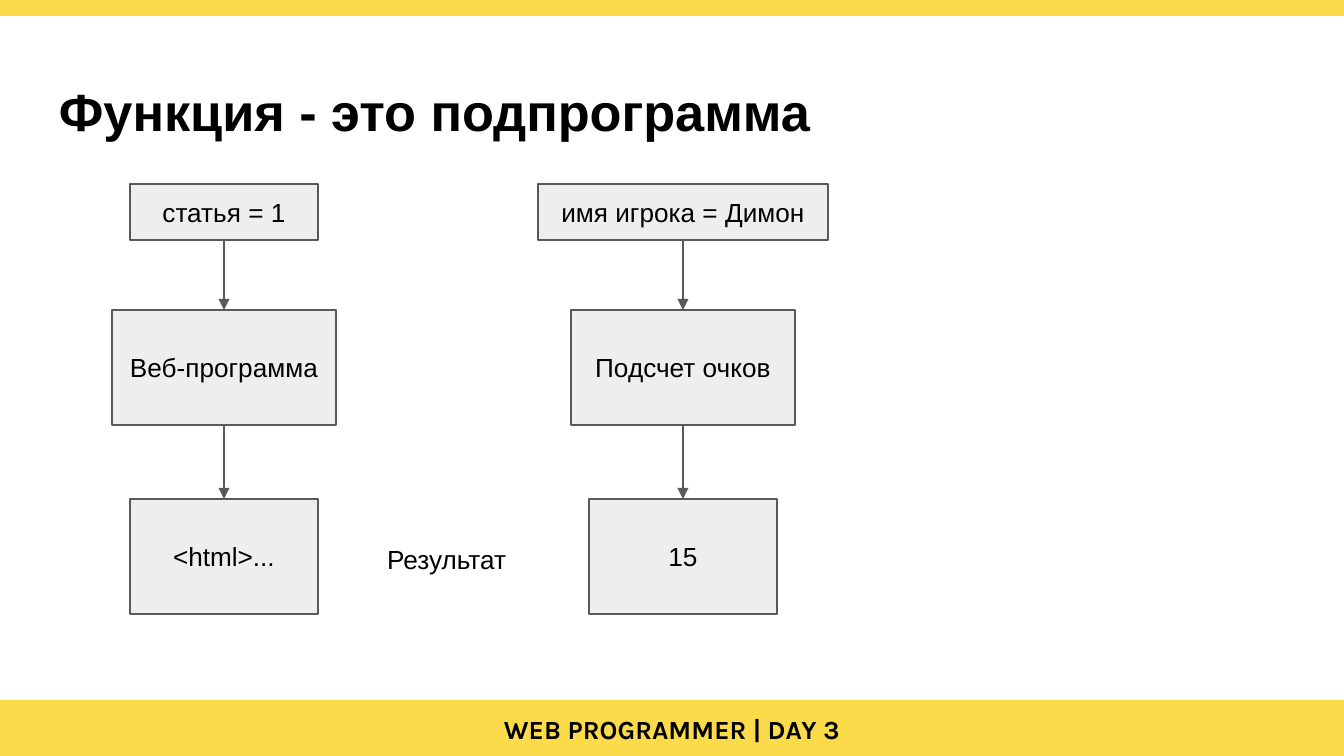
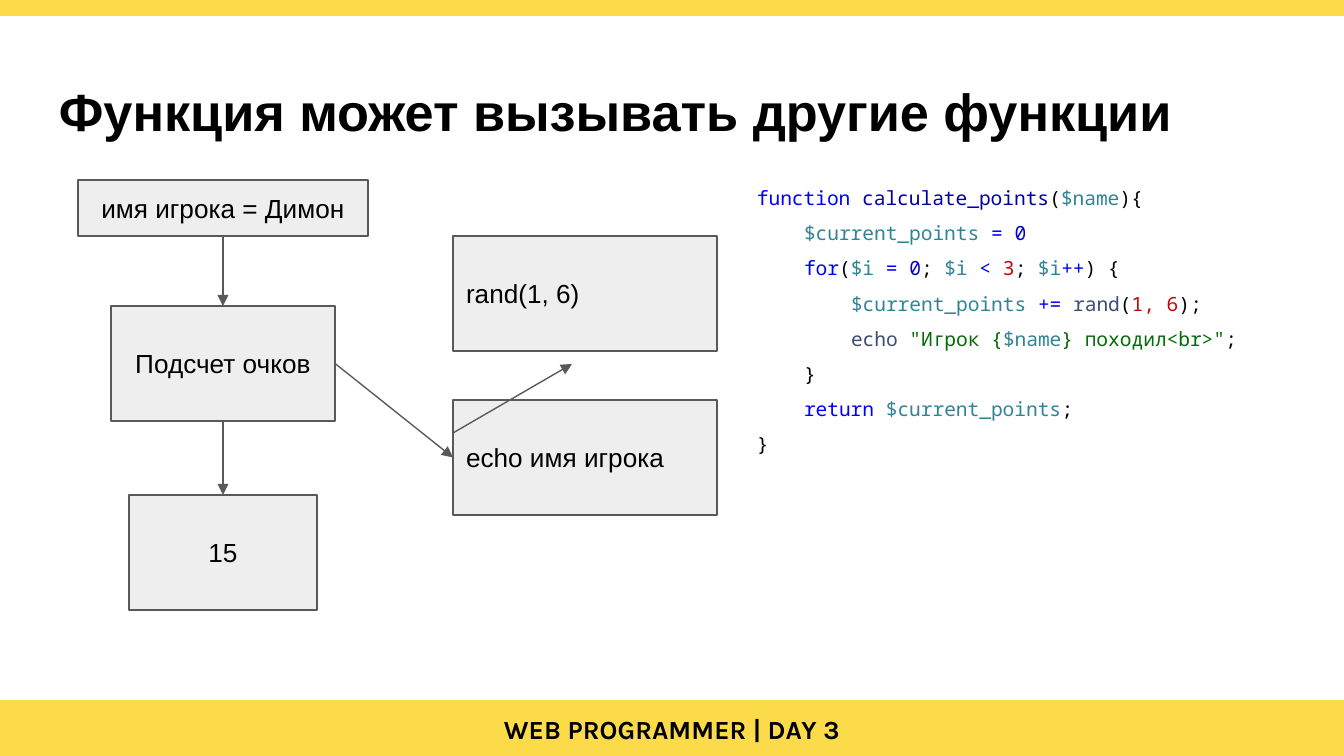
"""Build two slides that explain functions with flow diagrams and code."""
from lxml.etree import SubElement
from pptx import Presentation
from pptx.dml.color import RGBColor
from pptx.enum.shapes import MSO_CONNECTOR as Connector, MSO_SHAPE as Shape
from pptx.enum.text import MSO_ANCHOR as Anchor, MSO_AUTO_SIZE as AutoSize, PP_ALIGN as Align
from pptx.oxml.ns import qn
from pptx.util import Pt

PX = 914400 / 134.4
WIDTH, HEIGHT = 1344, 756
INSET = 13

YELLOW = RGBColor(0xFB, 0xDB, 0x4A)
LIGHT_GRAY = RGBColor(0xEE, 0xEE, 0xEE)
DARK_GRAY = RGBColor(0x59, 0x59, 0x59)
WHITE = RGBColor(0xFF, 0xFF, 0xFF)
BLACK = RGBColor(0x00, 0x00, 0x00)
KEYWORD = RGBColor(0x00, 0x00, 0xFF)
FUNCTION = RGBColor(0x00, 0x00, 0xA2)
VARIABLE = RGBColor(0x31, 0x84, 0x95)
ZERO = RGBColor(0x00, 0x00, 0xCD)
NUMBER = RGBColor(0xC5, 0x06, 0x0B)
BUILTIN = RGBColor(0x3C, 0x4C, 0x72)
STRING = RGBColor(0x03, 0x6A, 0x07)

ROWS = [(0, 56), (126, 115), (315, 115)]
SCORE_STEPS = [("имя игрока = Димон", 290), ("Подсчет очков", 224), ("15", 188)]
ARTICLE_STEPS = [("статья = 1", 188), ("Веб-программа", 224), ("<html>...", 188)]
PAGES = [
    ("Функция - это подпрограмма", [(224, 184, ARTICLE_STEPS), (683, 184, SCORE_STEPS)]),
    ("Функция может вызывать другие функции", [(223, 180, SCORE_STEPS)]),
]
CODE_INDENT = 47
CODE = [
    (0, [("function ", KEYWORD), ("calculate_points", FUNCTION), ("(", BLACK),
         ("$name", VARIABLE), ("){", BLACK)]),
    (1, [("$current_points ", VARIABLE), ("= ", KEYWORD), ("0", ZERO)]),
    (1, [("for", KEYWORD), ("(", BLACK), ("$i ", VARIABLE), ("= ", KEYWORD), ("0", ZERO),
         ("; ", BLACK), ("$i ", VARIABLE), ("< ", KEYWORD), ("3", NUMBER), ("; ", BLACK),
         ("$i", VARIABLE), ("++", KEYWORD), (") {", BLACK)]),
    (2, [("$current_points ", VARIABLE), ("+= ", KEYWORD), ("rand", BUILTIN), ("(", BLACK),
         ("1, 6", NUMBER), (");", BLACK)]),
    (2, [("echo ", BUILTIN), ('"Игрок {', STRING), ("$name", VARIABLE),
         ('} походил<br>"', STRING), (";", BLACK)]),
    (1, [("}", BLACK)]),
    (1, [("return ", KEYWORD), ("$current_points", VARIABLE), (";", BLACK)]),
    (0, [("}", BLACK)]),
]


def add_box(page, frame, text="", fill=None, border=None, align=Align.LEFT,
            anchor=Anchor.MIDDLE, font="Arial", bold=False):
    lengths = [round(value * PX) for value in frame]
    if fill is None:
        box = page.shapes.add_textbox(*lengths)
    else:
        box = page.shapes.add_shape(Shape.RECTANGLE, *lengths)
        box.shadow.inherit = False
        box.fill.solid()
        box.fill.fore_color.rgb = fill
        if border is None:
            box.line.fill.background()
        else:
            box.line.color.rgb = border
            box.line.width = Pt(0.75)
    body = box.text_frame
    body.word_wrap = True
    body.vertical_anchor = anchor
    body.margin_left = body.margin_top = body.margin_right = body.margin_bottom = round(INSET * PX)
    para = body.paragraphs[0]
    para.alignment = align
    if text:
        para.text = text
        para.font.name, para.font.size, para.font.bold = font, Pt(14), bold
        para.font.color.rgb = BLACK
    return box


def add_arrow(page, ends=(0, 0, 0, 0)):
    arrow = page.shapes.add_connector(Connector.STRAIGHT, *[round(value * PX) for value in ends])
    arrow.line.color.rgb = DARK_GRAY
    arrow.line.width = Pt(0.75)
    SubElement(arrow.line._get_or_add_ln(), qn("a:tailEnd"), type="triangle")
    SubElement(arrow._element.spPr, qn("a:effectLst"))
    return arrow


deck = Presentation()
deck.slide_width, deck.slide_height = round(WIDTH * PX), round(HEIGHT * PX)

for heading, flows in PAGES:
    page = deck.slides.add_slide(deck.slide_layouts[5])
    page.background.fill.solid()
    page.background.fill.fore_color.rgb = WHITE

    title = page.shapes.title
    title.left, title.top, title.width, title.height = [round(v * PX) for v in (46, 66, 1252, 85)]
    body = title.text_frame
    body.auto_size = AutoSize.NONE
    body.vertical_anchor = Anchor.TOP
    body.margin_left = body.margin_top = body.margin_right = body.margin_bottom = round(INSET * PX)
    para = body.paragraphs[0]
    para.text = heading
    para.alignment = Align.LEFT
    para.font.name, para.font.size, para.font.bold = "Arial", Pt(28), True
    para.font.color.rgb = BLACK

    add_box(page, (0, 0, WIDTH, 16), fill=YELLOW)
    add_box(page, (0, 700, WIDTH, 56), fill=YELLOW)
    add_box(page, (305, 700, 734, 56), "WEB PROGRAMMER | DAY 3", align=Align.CENTER,
            anchor=Anchor.TOP, font="Karla", bold=True)

    for center, top, steps in flows:
        boxes = []
        for (text, width), (offset, height) in zip(steps, ROWS):
            frame = (center - width / 2, top + offset, width, height)
            boxes.append(add_box(page, frame, text, LIGHT_GRAY, DARK_GRAY, Align.CENTER))
        for upper, lower in zip(boxes, boxes[1:]):
            arrow = add_arrow(page)
            arrow.begin_connect(upper, 2)
            arrow.end_connect(lower, 0)

function_page, calls_page = deck.slides
add_box(function_page, (374, 530, 159, 68), "Результат", anchor=Anchor.TOP)

score_box = boxes[1]
rand_box, echo_box = [
    add_box(calls_page, (453, top, 264, 115), text, LIGHT_GRAY, DARK_GRAY)
    for text, top in (("rand(1, 6)", 236), ("echo имя игрока", 400))
]
echo_arrow = add_arrow(calls_page)
echo_arrow.begin_connect(score_box, 3)
echo_arrow.end_connect(echo_box, 1)
add_arrow(calls_page, (453, 433, 572, 364))

code_body = add_box(calls_page, (739, 161, 569, 512), anchor=Anchor.TOP).text_frame
for number, (level, spans) in enumerate(CODE):
    para = code_body.add_paragraph() if number else code_body.paragraphs[0]
    para.line_spacing = 1.5
    para.font.name, para.font.size = "Noto Sans Mono", Pt(10.5)
    properties = para._p.get_or_add_pPr()
    properties.set("marL", str(round((5 + level * CODE_INDENT) * PX)))
    properties.set("indent", "0")
    for text, color in spans:
        span = para.add_run()
        span.text = text
        span.font.color.rgb = color

deck.save("out.pptx")
